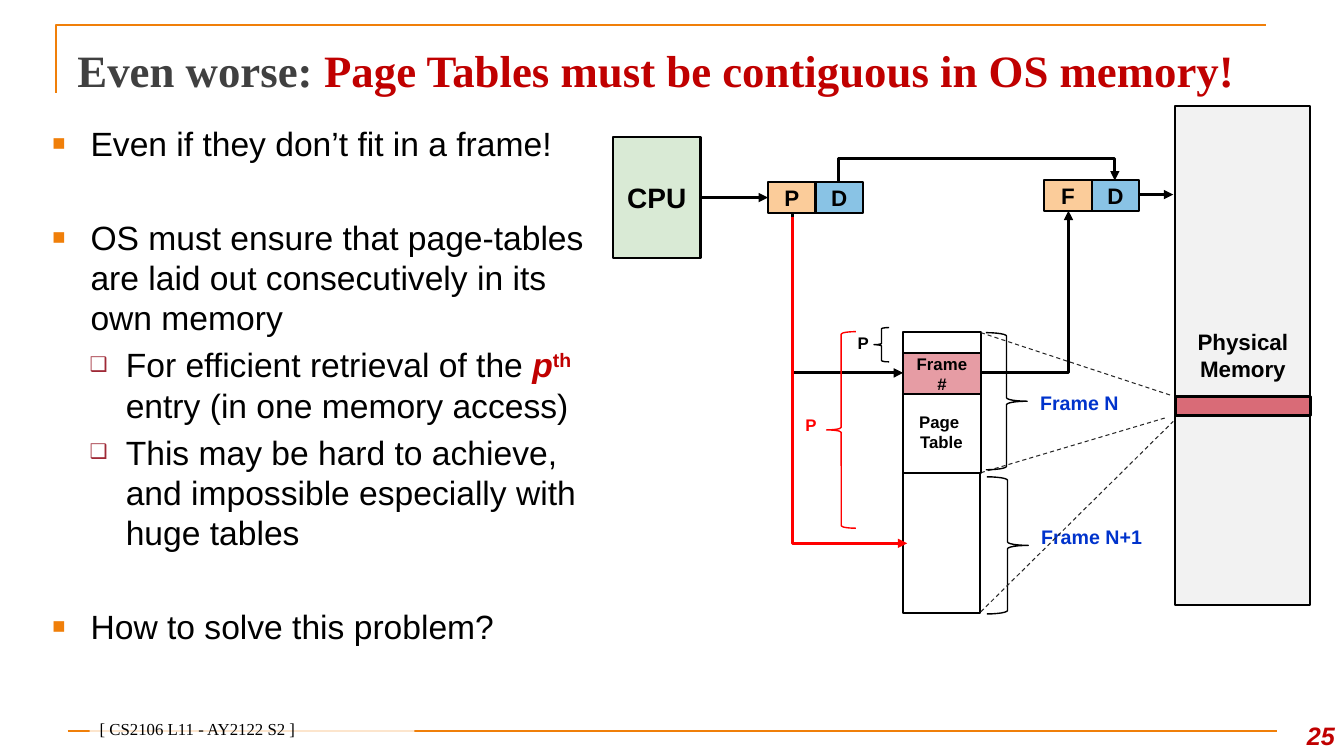
from dataclasses import dataclass

from lxml import etree
from pptx import Presentation
from pptx import util as u
from pptx.dml.color import RGBColor
from pptx.enum import dml, shapes, text
from pptx.oxml.ns import qn

ROWS = 75
HEIGHT = u.Inches(7.5)
CELL = HEIGHT / ROWS
COLUMNS = 133.33

SANS, SERIF = "Arial", "Times New Roman"
ORANGE, RED, CRIMSON, BLACK, WHITE = "F07F09", "FF0000", "C00000", "000000", "FFFFFF"
PEACH, SKY, BLUE, CHARCOAL = "FBCC9A", "89C3E5", "0033CC", "262626"
RECT, BRACE = shapes.MSO_SHAPE.RECTANGLE, shapes.MSO_SHAPE.LEFT_BRACE
MIDDLE, TOP, BOTTOM = text.MSO_ANCHOR.MIDDLE, text.MSO_ANCHOR.TOP, text.MSO_ANCHOR.BOTTOM
LEFT, CENTER, RIGHT = text.PP_ALIGN.LEFT, text.PP_ALIGN.CENTER, text.PP_ALIGN.RIGHT


@dataclass
class Block:
    area: tuple
    words: str = ""
    size: int = 16
    fill: str | None = None
    line: str = BLACK
    weight: float = 1.5
    preset: int = RECT
    turn: int = 0


@dataclass
class Label:
    area: tuple
    words: str
    size: int = 12
    color: str = BLACK
    align: int = CENTER
    anchor: int = MIDDLE
    italic: bool = False


@dataclass
class Link:
    start: tuple
    end: tuple
    color: str = BLACK
    weight: float = 2.25
    arrow: bool = True
    dashed: bool = False
    bend: str = ""
    turn: int = 0
    reach: float = 0


@dataclass
class Bullet:
    runs: list
    level: int = 0
    before: float = 4.8


def grid(value: float) -> int:
    return u.Emu(round(value * CELL))


def rgb(code: str) -> RGBColor:
    return RGBColor.from_string(code)


def style(font, size: float, color: str, bold: bool = True, face: str = SANS) -> None:
    font.name, font.size, font.bold = face, u.Pt(size), bold
    font.color.rgb = rgb(color)


def write(frame, words: str, size: int, color: str = BLACK, align: int = CENTER,
          anchor: int = MIDDLE, bold: bool = True, face: str = SANS) -> None:
    frame.word_wrap = True
    frame.vertical_anchor = anchor
    frame.text = words
    for paragraph in frame.paragraphs:
        paragraph.alignment = align
        style(paragraph.font, size, color, bold, face)


def draw_block(slide, block: Block):
    shape = slide.shapes.add_shape(block.preset, *map(grid, block.area))
    shape.shadow.inherit = False
    shape.rotation = block.turn
    if block.fill:
        shape.fill.solid()
        shape.fill.fore_color.rgb = rgb(block.fill)
    else:
        shape.fill.background()
    shape.line.color.rgb = rgb(block.line)
    shape.line.width = u.Pt(block.weight)
    if block.words:
        write(shape.text_frame, block.words, block.size)
    return shape


def draw_label(slide, label: Label) -> None:
    frame = slide.shapes.add_textbox(*map(grid, label.area)).text_frame
    write(frame, label.words, label.size, label.color, label.align, label.anchor)
    for paragraph in frame.paragraphs:
        paragraph.font.italic = label.italic


def draw_link(slide, link: Link) -> None:
    (x1, y1), (x2, y2) = link.start, link.end
    if link.turn:
        sign = 1 if link.turn == 90 else -1
        mid_x, mid_y = (x1 + x2) / 2, (y1 + y2) / 2
        dx, dy = sign * (y1 - mid_y), -sign * (x1 - mid_x)
        x1, y1, x2, y2 = mid_x + dx, mid_y + dy, mid_x - dx, mid_y - dy
    kind = shapes.MSO_CONNECTOR.ELBOW if link.bend else shapes.MSO_CONNECTOR.STRAIGHT
    connector = slide.shapes.add_connector(kind, *map(grid, (x1, y1, x2, y2)))
    connector.line.color.rgb = rgb(link.color)
    connector.line.width = u.Pt(link.weight)
    if link.dashed:
        connector.line.dash_style = dml.MSO_LINE.DASH
    properties = connector.element.spPr
    if link.arrow:
        etree.SubElement(properties.find(qn("a:ln")), qn("a:tailEnd"), type="triangle")
    etree.SubElement(properties, qn("a:effectLst"))
    if link.bend:
        geometry = properties.find(qn("a:prstGeom"))
        geometry.set("prst", link.bend)
        if link.reach:
            guides = geometry.find(qn("a:avLst"))
            etree.SubElement(guides, qn("a:gd"), name="adj1", fmla=f"val {round(link.reach * 100000)}")
    if link.turn:
        properties.find(qn("a:xfrm")).set("rot", str(link.turn * 60000))


def draw_bullets(slide, area: tuple, bullets: list[Bullet]) -> None:
    marks = (("■", ORANGE, 65, 3.8, 3.8), ("❑", "9F2936", 60, 7.3, 3.6))
    frame = slide.shapes.add_textbox(*map(grid, area)).text_frame
    frame.word_wrap = True
    for index, bullet in enumerate(bullets):
        paragraph = frame.add_paragraph() if index else frame.paragraphs[0]
        mark, color, percent, margin, hang = marks[bullet.level]
        layout = paragraph._p.get_or_add_pPr()
        layout.set("marL", str(grid(margin)))
        layout.set("indent", str(-grid(hang)))
        if index:
            paragraph.space_before = u.Pt(bullet.before)
        tint = etree.SubElement(layout, qn("a:buClr"))
        etree.SubElement(tint, qn("a:srgbClr"), val=color)
        etree.SubElement(layout, qn("a:buSzPct"), val=str(percent * 1000))
        etree.SubElement(layout, qn("a:buFont"), typeface=SANS)
        etree.SubElement(layout, qn("a:buChar"), char=mark)
        style(paragraph.font, 24, BLACK, False)
        for words, role in bullet.runs:
            run = paragraph.add_run()
            run.text = words
            if role:
                run.font.bold = True
                run.font.color.rgb = rgb(CRIMSON)
                run.font.italic = role == "variable"
            if role == "superscript":
                run._r.get_or_add_rPr().set("baseline", "30000")


def draw_frame(slide) -> None:
    builder = slide.shapes.build_freeform(grid(5.6), grid(9.2), scale=1.0)
    builder.add_line_segments([(grid(5.6), grid(2.5)), (grid(125.6), grid(2.5))], close=False)
    corner = builder.convert_to_shape()
    corner.shadow.inherit = False
    corner.fill.background()
    corner.line.color.rgb = rgb(ORANGE)
    corner.line.width = u.Pt(1.5)
    draw_link(slide, Link((6.7, 72.5), (126.7, 72.5), ORANGE, 1.5, arrow=False))

    heading = slide.shapes.add_textbox(*map(grid, (6.7, 3, 120, 7.8))).text_frame
    write(heading, "", 32, CRIMSON, LEFT, face=SERIF)
    for words, color in (("Even worse: ", "404040"),
                         ("Page Tables must be contiguous in OS memory!", CRIMSON)):
        run = heading.paragraphs[0].add_run()
        run.text = words
        run.font.color.rgb = rgb(color)

    footer = draw_block(slide, Block((8.9, 71.3, 32.2, 2.5), fill=WHITE))
    footer.line.fill.background()
    veil = footer.element.spPr.find(qn("a:solidFill"))[0]
    etree.SubElement(veil, qn("a:alpha"), val="80000")
    write(footer.text_frame, "[ CS2106 L11 - AY2122 S2 ]", 12, BLACK, LEFT, BOTTOM, False, SERIF)


BULLETS = [
    Bullet([("Even if they don’t fit in a frame!", "")]),
    Bullet([("OS must ensure that page-tables are laid out consecutively in its own memory", "")], before=38),
    Bullet([("For efficient retrieval of the ", ""), ("p", "variable"), ("th", "superscript"),
            (" entry (in one memory access)", "")], 1),
    Bullet([("This may be hard to achieve, and impossible especially with huge tables", "")], 1),
    Bullet([("How to solve this problem?", "")], before=38),
]


def address(left: float, top: float, first: str) -> list[Block]:
    return [Block((left + 4.7 * i, top, 4.7, 3), name, fill=color)
            for i, (name, color) in enumerate(((first, PEACH), ("D", SKY)))]


def guide(start: tuple, end: tuple) -> Link:
    return Link(start, end, CHARCOAL, 0.75, arrow=False, dashed=True)


def brace(area: tuple, color: str = BLACK, turn: int = 0) -> Block:
    return Block(area, line=color, weight=1, preset=BRACE, turn=turn)


DIAGRAM = [
    Label((125.6, 70, 7.8, 5), "25", 18, CRIMSON, RIGHT, BOTTOM, True),
    Block((60.8, 13.6, 8.7, 12), "CPU", 20, "D9EAD5"),
    *address(76.2, 18.1, "P"),
    Link((69.5, 19.6), (76.2, 19.6)),
    Link((83.2, 18.1), (110.6, 17.9), bend="bentConnector3", turn=90, reach=12),
    *address(103.6, 17.9, "F"),
    Link((113, 19.3), (116.4, 19.3)),
    Link((97.3, 37), (106, 20.9), bend="bentConnector2"),
    Link((78.6, 21.1), (89.6, 37), bend="bentConnector2", turn=270),
    brace((86.7, 32.5, 1.5, 3.4)),
    Label((83.3, 32.5, 4.7, 3), "P"),
    guide((97.3, 46.9), (115.8, 41.4)),
    Block((89.6, 46.9, 7.6, 13.9), fill=WHITE),
    Link((78.6, 21.5), (90, 53.9), RED, bend="bentConnector2", turn=270),
    brace((82, 32.9, 2.9, 19.5), RED),
    Label((78.1, 40.6, 4.7, 3), "P", color=RED),
    brace((97.9, 47.3, 4.1, 13.6), turn=180),
    Block((116.6, 10.5, 13.4, 49.5), "Physical Memory", fill="F2F2F2"),
    Block((89.6, 32.9, 7.7, 14), fill=WHITE),
    Block((89.6, 35, 7.7, 4.1), "Frame #", 12, "E69CA4"),
    Label((87.7, 40.6, 11.4, 4.4), "Page \nTable"),
    guide((97.3, 33), (116.1, 39.2)),
    Block((116.6, 39.3, 13.4, 1.9), fill="D96B77", weight=2),
    brace((97.8, 33, 4.1, 13.6), turn=180),
    Label((102.2, 38.3, 15.3, 3.9), "Frame N", 14, BLUE, LEFT, TOP),
    Label((102.3, 51.6, 15.3, 3.9), "Frame N+1", 14, BLUE, LEFT, TOP),
    guide((97.3, 60.7), (116.4, 41.8)),
]


def main() -> None:
    deck = Presentation()
    deck.slide_width, deck.slide_height = grid(COLUMNS), HEIGHT
    slide = deck.slides.add_slide(deck.slide_layouts[6])
    draw_frame(slide)
    draw_bullets(slide, (4.2, 11.7, 57.9, 60), BULLETS)
    painters = {Block: draw_block, Label: draw_label, Link: draw_link}
    for part in DIAGRAM:
        painters[type(part)](slide, part)
    deck.save("out.pptx")


if __name__ == "__main__":
    main()
